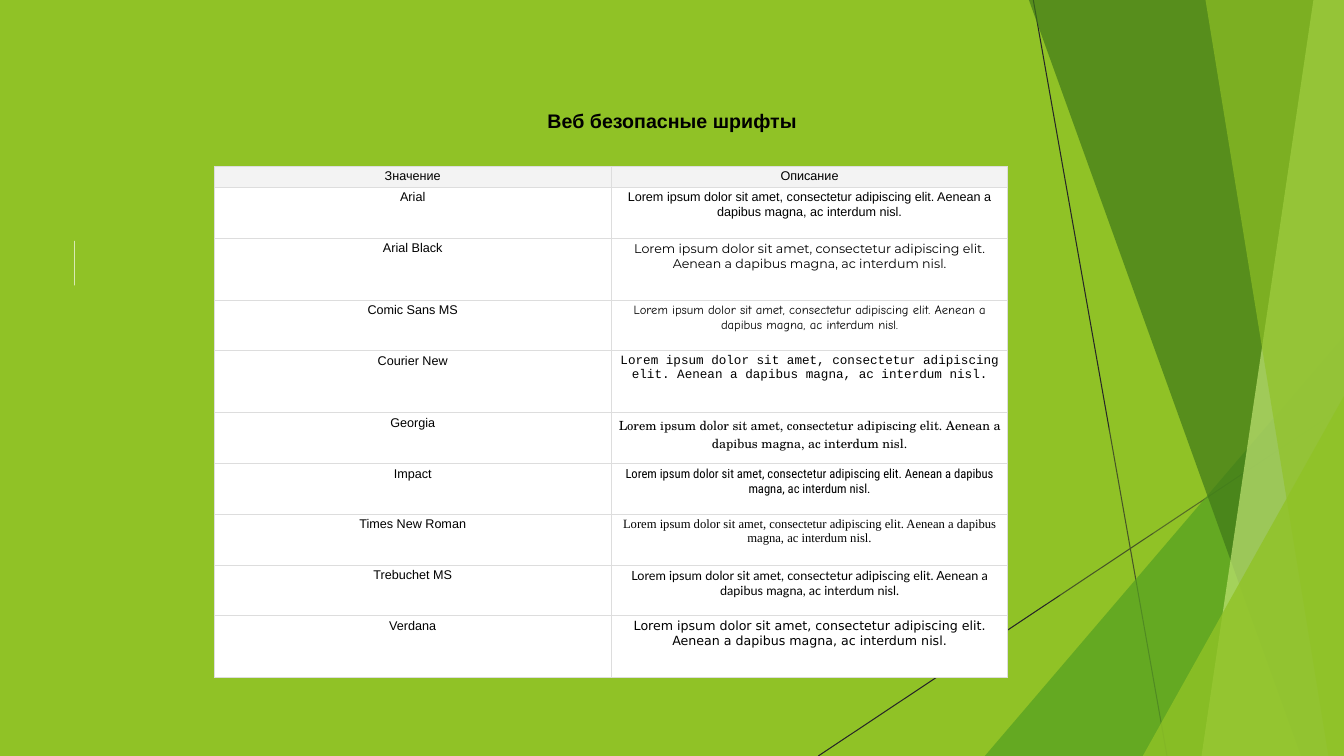
from dataclasses import dataclass

from lxml import etree
from pptx import Presentation
from pptx.dml.color import RGBColor
from pptx.enum.shapes import MSO_CONNECTOR, MSO_SHAPE
from pptx.enum.text import MSO_ANCHOR, PP_ALIGN
from pptx.oxml.ns import qn
from pptx.util import Cm, Pt

STRAIGHT = MSO_CONNECTOR.STRAIGHT
TRIANGLE = MSO_SHAPE.ISOSCELES_TRIANGLE
RECTANGLE = MSO_SHAPE.RECTANGLE
CENTER = PP_ALIGN.CENTER
TOP, MIDDLE = MSO_ANCHOR.TOP, MSO_ANCHOR.MIDDLE

TITLE = "Веб безопасные шрифты"
HEADER = ("Значение", "Описание")
SAMPLE = ("Lorem ipsum dolor sit amet, consectetur adipiscing elit. "
          "Aenean a dapibus magna, ac interdum nisl.")
# Name shown, font of the sample, row height in cm
FONTS = [
    ("Arial", "Arial", 1.28),
    ("Arial Black", "Montserrat", 1.56),
    ("Comic Sans MS", "Comic Neue", 1.28),
    ("Courier New", "Courier New", 1.56),
    ("Georgia", "TeX Gyre Schola", 1.28),
    ("Impact", "Roboto Condensed", 1.28),
    ("Times New Roman", "Times New Roman", 1.28),
    ("Trebuchet MS", "Lato", 1.28),
    ("Verdana", "DejaVu Sans", 1.56),
]


@dataclass(frozen=True)
class Theme:
    font: str = "Arial"
    title_size: float = 14
    table_size: float = 9
    line_width: float = 0.75
    text: str = "000000"
    white: str = "FFFFFF"
    header: str = "F3F3F3"
    border: str = "DDDDDD"
    thin_line: str = "262626"
    lime: str = "90C226"
    green: str = "54A021"
    dark_green: str = "3F7819"
    pale_green: str = "C0E474"


THEME = Theme()
WIDTH, HEIGHT = 33.87, 19.05
HEADER_HEIGHT, COLUMN_WIDTH, CELL_MARGIN = 0.53, 10.0, 0.08
TABLE_LEFT, TABLE_TOP = 5.4, 4.19

# Thin lines: x and y of the start, x and y of the end
THIN_LINES = [(26.04, 0, 29.41, HEIGHT), (WIDTH, 10.24, 20.62, HEIGHT)]
# Shards reach the right edge: left x at the top, left x at the bottom, colour, opacity in %
SHARDS_BEHIND = [(31.19, 25.5, THEME.lime, 30), (26.67, 30.05, THEME.lime, 20)]
SHARDS_IN_FRONT = [
    (25.93, 32.79, THEME.dark_green, 70),
    (33.1, 30.28, THEME.pale_green, 70),
    (30.38, 33.48, THEME.lime, 65),
]
# Corner triangles: left, top, colour, opacity in %
LARGE_CORNER = (24.82, 8.46, THEME.green, 72)
SMALL_CORNER = (28.8, 9.98, THEME.lime, 80)


def rgb(colour):
    return RGBColor.from_string(colour)


def paint(shape, colour, opacity=100):
    shape.shadow.inherit = False
    shape.line.fill.background()
    shape.fill.solid()
    shape.fill.fore_color.rgb = rgb(colour)
    if opacity < 100:
        colour_element = shape.fill._xPr.find(qn("a:solidFill"))[0]
        etree.SubElement(colour_element, qn("a:alpha"), val=str(opacity * 1000))


def add_thin_line(slide, x1, y1, x2, y2):
    line = slide.shapes.add_connector(STRAIGHT, Cm(x1), Cm(y1), Cm(x2), Cm(y2))
    line.line.color.rgb = rgb(THEME.thin_line)
    line.line.width = Pt(THEME.line_width)
    etree.SubElement(line._element.spPr, qn("a:effectLst"))


def add_shard(slide, top_x, bottom_x, colour, opacity):
    builder = slide.shapes.build_freeform(Cm(top_x), 0)
    corners = [(WIDTH, 0), (WIDTH, HEIGHT), (bottom_x, HEIGHT)]
    builder.add_line_segments([(Cm(x), Cm(y)) for x, y in corners])
    paint(builder.convert_to_shape(), colour, opacity)


def add_corner(slide, left, top, colour, opacity):
    """Add a right triangle that fills the lower right corner of the slide."""
    triangle = slide.shapes.add_shape(
        TRIANGLE, Cm(left), Cm(top), Cm(WIDTH - left), Cm(HEIGHT - top))
    triangle.adjustments[0] = 1
    paint(triangle, colour, opacity)


def add_decoration(slide):
    for line in THIN_LINES:
        add_thin_line(slide, *line)
    for shard in SHARDS_BEHIND:
        add_shard(slide, *shard)
    add_corner(slide, *LARGE_CORNER)
    for shard in SHARDS_IN_FRONT:
        add_shard(slide, *shard)
    add_corner(slide, *SMALL_CORNER)
    bar = slide.shapes.add_shape(RECTANGLE, Cm(1.87), Cm(6.07), Cm(0.01), Cm(1.12))
    paint(bar, THEME.white)


def write(text_frame, text, font_name, size, bold=False):
    text_frame.text = text
    paragraph = text_frame.paragraphs[0]
    paragraph.alignment = CENTER
    font = paragraph.runs[0].font
    font.name, font.size, font.bold = font_name, Pt(size), bold
    font.color.rgb = rgb(THEME.text)


def add_title(slide):
    title = slide.shapes.title
    title.left, title.top, title.width, title.height = Cm(13.51), Cm(2.62), Cm(6.86), Cm(0.86)
    write(title.text_frame, TITLE, THEME.font, THEME.title_size, bold=True)
    title.text_frame.word_wrap = False
    title.text_frame.vertical_anchor = MIDDLE


def add_borders(cell):
    properties = cell._tc.get_or_add_tcPr()
    for position, side in enumerate(("lnL", "lnR", "lnT", "lnB")):
        border = etree.Element(qn(f"a:{side}"), w=str(Pt(THEME.line_width)))
        fill = etree.SubElement(border, qn("a:solidFill"))
        etree.SubElement(fill, qn("a:srgbClr"), val=THEME.border)
        properties.insert(position, border)


def fill_cell(cell, text, font_name, colour):
    cell.margin_left = cell.margin_right = Cm(CELL_MARGIN)
    cell.margin_top = cell.margin_bottom = Cm(CELL_MARGIN)
    cell.vertical_anchor = TOP
    cell.fill.solid()
    cell.fill.fore_color.rgb = rgb(colour)
    add_borders(cell)
    write(cell.text_frame, text, font_name, THEME.table_size)


def add_font_table(slide):
    heights = [HEADER_HEIGHT] + [height for _, _, height in FONTS]
    table = slide.shapes.add_table(
        len(heights), len(HEADER), Cm(TABLE_LEFT), Cm(TABLE_TOP),
        Cm(COLUMN_WIDTH * len(HEADER)), Cm(sum(heights))).table
    table.first_row = table.horz_banding = False
    for column in table.columns:
        column.width = Cm(COLUMN_WIDTH)
    for row, height in zip(table.rows, heights):
        row.height = Cm(height)
    for index, label in enumerate(HEADER):
        fill_cell(table.cell(0, index), label, THEME.font, THEME.header)
    for index, (name, sample_font, _) in enumerate(FONTS, start=1):
        fill_cell(table.cell(index, 0), name, THEME.font, THEME.white)
        fill_cell(table.cell(index, 1), SAMPLE, sample_font, THEME.white)


def main():
    presentation = Presentation()
    presentation.slide_width, presentation.slide_height = Cm(WIDTH), Cm(HEIGHT)
    title_only = presentation.slide_layouts[5]
    slide = presentation.slides.add_slide(title_only)
    slide.background.fill.solid()
    slide.background.fill.fore_color.rgb = rgb(THEME.lime)
    add_decoration(slide)
    add_title(slide)
    add_font_table(slide)
    presentation.save("out.pptx")


if __name__ == "__main__":
    main()
